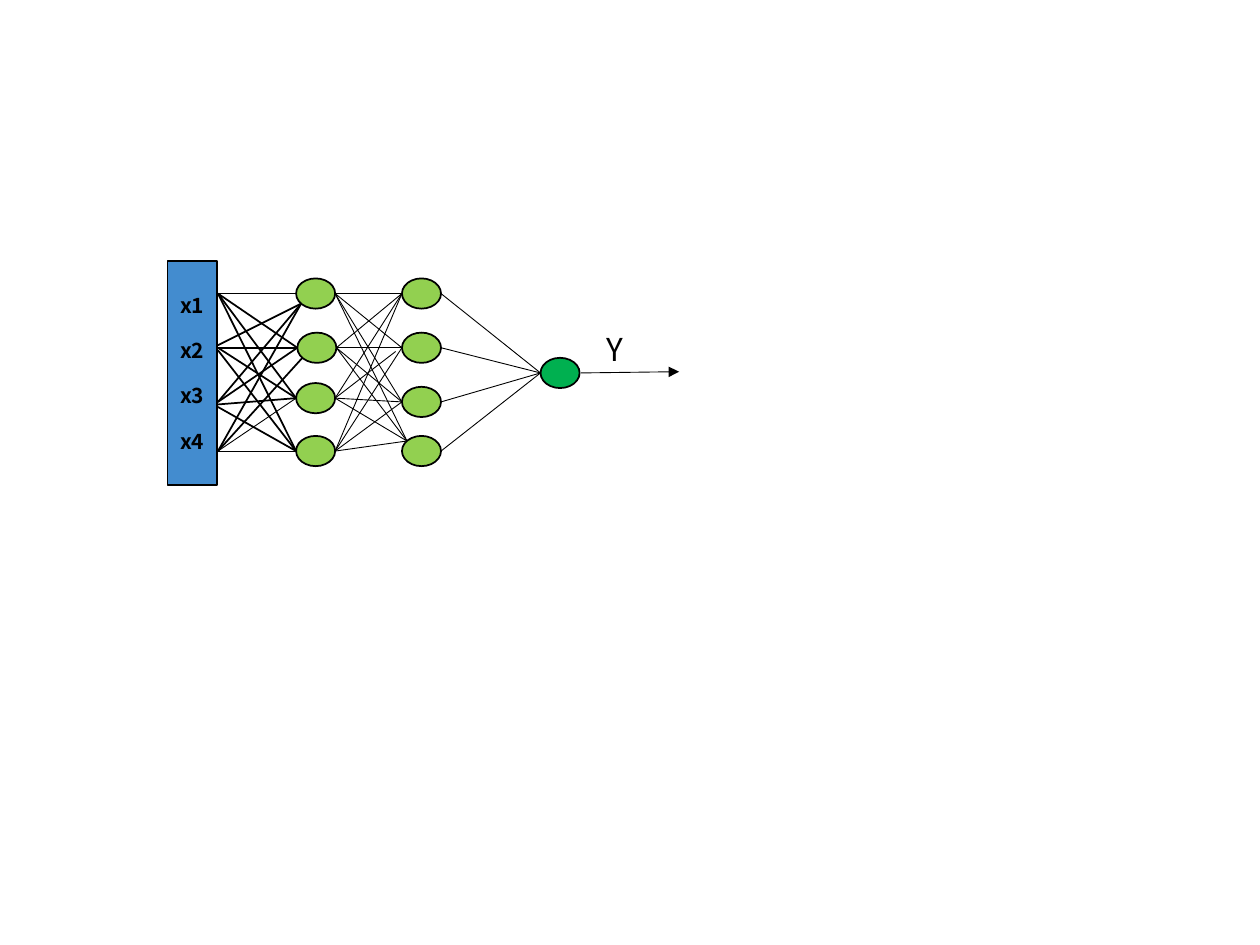
from lxml import etree
from pptx import Presentation
from pptx.dml.color import RGBColor
from pptx.enum.shapes import MSO_CONNECTOR, MSO_SHAPE
from pptx.enum.text import MSO_ANCHOR, PP_ALIGN
from pptx.oxml.ns import qn
from pptx.util import Inches, Pt

OVAL, RECTANGLE = MSO_SHAPE.OVAL, MSO_SHAPE.RECTANGLE
STRAIGHT = MSO_CONNECTOR.STRAIGHT
MIDDLE, CENTER = MSO_ANCHOR.MIDDLE, PP_ALIGN.CENTER

FONT = "Noto Sans CJK SC"
BLACK, BLUE, LIME, GREEN = "000000", "438CCF", "92D050", "00B050"
THICK, THIN = 1, 0.5

# The slide is a grid of 1000 columns by 750 rows
CELL = Inches(0.01)
NODE_WIDTH, NODE_HEIGHT = 31, 24
BAR_WIDTH, BAR_HEIGHT = 39, 178

# Left edge and middle row of each node, measured from the network's corner
INPUTS = [(40, 26), (40, 69), (40, 112), (40, 151)]
HIDDEN_1 = [(102, 26), (103, 69), (102, 109), (102, 151)]
HIDDEN_2 = [(186, 26), (186, 69), (186, 112), (186, 151)]
OUTPUT = (296, 89)

# Links that leave or reach a node beside its usual point
INPUT_STARTS = {(1, 0): (40, 67), (1, 3): (40, 71),
                (2, 2): (40, 114), (2, 3): (40, 116)}
HIDDEN_1_ENDS = {(1, 0): (106, 34), (2, 0): (106, 34),
                 (3, 0): (106, 34), (3, 1): (107, 77)}
HIDDEN_2_ENDS = {(row, 3): (190, 143) for row in range(4)} | {(2, 1): (181, 72)}
THIN_INPUT_LINKS = {(3, 2), (3, 3)}


def color(value):
    return RGBColor.from_string(value)


def place(box, point):
    """Turn a point inside the box into slide lengths."""
    return [CELL * (corner + offset) for corner, offset in zip(box, point)]


def write(para, text, size, bold=False):
    span = para.add_run()
    span.text = text
    formats = {"name": FONT, "size": Pt(size), "bold": bold}
    for name, value in formats.items():
        setattr(span.font, name, value)
    span.font.color.rgb = color(BLACK)


def add_block(page, box, kind, point, width, height, fill):
    shape = page.shapes.add_shape(
        kind, *place(box, point), CELL * width, CELL * height)
    shape.shadow.inherit = False
    shape.fill.solid()
    shape.fill.fore_color.rgb = color(fill)
    shape.line.color.rgb = color(BLACK)
    shape.line.width = Pt(1)
    return shape


def add_link(page, box, start, end, width=THIN, arrow=False):
    link = page.shapes.add_connector(
        STRAIGHT, *place(box, start), *place(box, end))
    link.line.color.rgb = color(BLACK)
    link.line.width = Pt(width)
    if arrow:
        etree.SubElement(link.line._get_or_add_ln(), qn("a:tailEnd"),
                         type="triangle")
    etree.SubElement(link._element.spPr, qn("a:effectLst"))


def add_nodes(page, box, nodes, fill):
    for left, middle in nodes:
        add_block(page, box, OVAL, (left, middle - NODE_HEIGHT / 2),
                  NODE_WIDTH, NODE_HEIGHT, fill)


def right_ports(nodes):
    return [(left + NODE_WIDTH, middle) for left, middle in nodes]


def link_layers(page, box, sources, targets, starts=None, ends=None,
                thick=False):
    """Join every source to every target."""
    starts, ends = starts or {}, ends or {}
    for row, source in enumerate(sources):
        for column, target in enumerate(targets):
            pair = (row, column)
            width = THICK if thick and pair not in THIN_INPUT_LINKS else THIN
            add_link(page, box, starts.get(pair, source),
                     ends.get(pair, target), width)


def add_input_bar(page, box, labels):
    bar = add_block(page, box, RECTANGLE, (0, 0), BAR_WIDTH, BAR_HEIGHT, BLUE)
    frame = bar.text_frame
    frame.vertical_anchor = MIDDLE
    for index, label in enumerate(labels):
        para = frame.add_paragraph() if index else frame.paragraphs[0]
        para.alignment = CENTER
        if index:
            para.space_before = Pt(11.4)
        write(para, label, 12, bold=True)


def add_output_label(page, box, point, text):
    label = page.shapes.add_textbox(*place(box, point), CELL * 79, CELL * 40)
    frame = label.text_frame
    frame.word_wrap = True
    frame.margin_left = CELL * 20
    write(frame.paragraphs[0], text, 18)


def add_network(page, box):
    # Nodes
    add_nodes(page, box, HIDDEN_1 + HIDDEN_2, LIME)
    add_nodes(page, box, [OUTPUT], GREEN)
    add_input_bar(page, box, ["x1", "x2", "x3", "x4"])

    # Links between neighbouring layers
    link_layers(page, box, INPUTS, HIDDEN_1, INPUT_STARTS, HIDDEN_1_ENDS,
                thick=True)
    link_layers(page, box, right_ports(HIDDEN_1), HIDDEN_2, ends=HIDDEN_2_ENDS)
    link_layers(page, box, right_ports(HIDDEN_2), [OUTPUT])

    # Result
    add_link(page, box, (328, 89), (406, 88), arrow=True)
    add_output_label(page, box, (328, 50), "Y")


def main():
    deck = Presentation()
    deck.slide_width, deck.slide_height = CELL * 1000, CELL * 750
    page = deck.slides.add_slide(deck.slide_layouts[6])
    add_network(page, (133, 207))
    deck.save("out.pptx")


if __name__ == "__main__":
    main()
